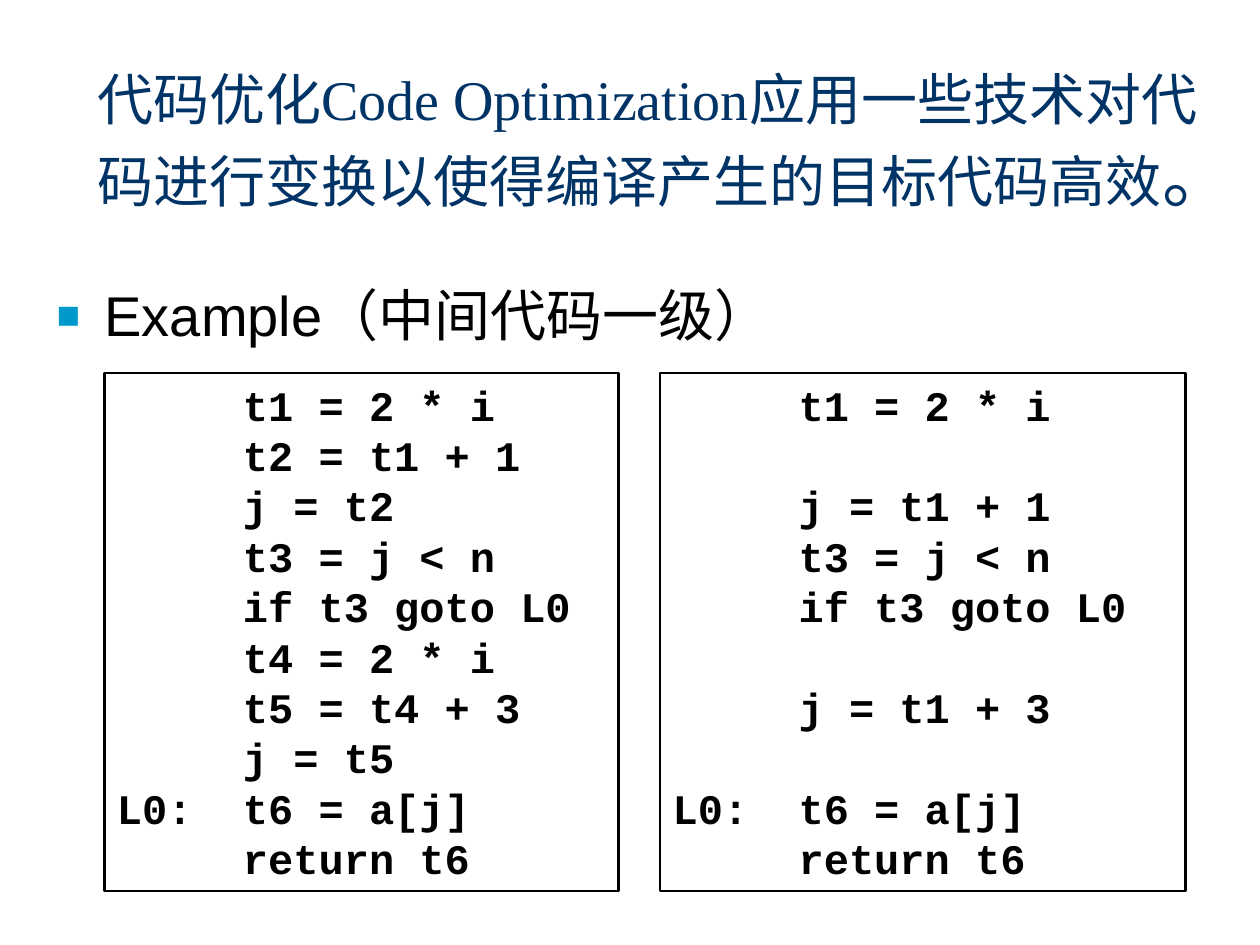
import pptx
import pptx.dml.color
import pptx.enum.shapes
import pptx.enum.text
import pptx.oxml
import pptx.oxml.ns
import pptx.util
from pptx.util import Inches

COLORS = {"title": "003366", "bullet": "0099CC", "ink": "000000", "paper": "FFFFFF"}

ORIGINAL_CODE = """\tt1 = 2 * i
\tt2 = t1 + 1
\tj = t2
\tt3 = j < n
\tif t3 goto L0
\tt4 = 2 * i
\tt5 = t4 + 3
\tj = t5
L0: \tt6 = a[j]
\treturn t6"""

OPTIMIZED_CODE = """\tt1 = 2 * i

\tj = t1 + 1
\tt3 = j < n
\tif t3 goto L0

\tj = t1 + 3

L0: \tt6 = a[j]
\treturn t6"""


class SlideBuilder:
    """Holds the style and the current slide."""

    def __init__(self, presentation):
        self.slide = presentation.slides.add_slide(presentation.slide_layouts[1])
        self.slide.background.fill.solid()
        self.slide.background.fill.fore_color.rgb = self.color("paper")

    def color(self, name):
        return pptx.dml.color.RGBColor.from_string(COLORS[name])

    def style(self, font, face, size, color, bold=False):
        font.name = face
        font.size = pptx.util.Pt(size)
        font.bold = bold
        font.color.rgb = self.color(color)

    def add_run(self, paragraph, text, *style):
        run = paragraph.add_run()
        run.text = text
        self.style(run.font, *style)

    def add_properties(self, paragraph, *elements):
        properties = paragraph._p.get_or_add_pPr()
        namespace = pptx.oxml.ns.nsdecls("a")
        for element in elements:
            properties.append(pptx.oxml.parse_xml(element.replace(" ", f" {namespace} ", 1)))
        return properties

    def place(self, placeholder, left, top, width, height):
        placeholder.left, placeholder.top = Inches(left), Inches(top)
        placeholder.width, placeholder.height = Inches(width), Inches(height)
        placeholder.text_frame.word_wrap = True
        placeholder.text_frame.auto_size = pptx.enum.text.MSO_AUTO_SIZE.NONE
        return placeholder.text_frame

    def title(self, parts, *box):
        frame = self.place(self.slide.shapes.title, *box)
        frame.vertical_anchor = pptx.enum.text.MSO_ANCHOR.MIDDLE
        heading = frame.paragraphs[0]
        heading.alignment = pptx.enum.text.PP_ALIGN.LEFT
        for text, size in parts:
            self.add_run(heading, text, "Times New Roman", size, "title")

    def bullet(self, text, *box):
        item = self.place(self.slide.placeholders[1], *box).paragraphs[0]
        item.space_before = pptx.util.Pt(0)
        properties = self.add_properties(
            item,
            f'<a:buClr ><a:srgbClr val="{COLORS["bullet"]}"/></a:buClr>',
            '<a:buSzPct val="70000"/>',
            '<a:buFont typeface="Arial"/>',
            '<a:buChar char="■"/>')
        properties.set("marL", str(Inches(0.38)))
        properties.set("indent", str(-Inches(0.38)))
        self.add_run(item, text, "Arial", 32, "ink")

    def code(self, listing, *box):
        panel = self.slide.shapes.add_shape(
            pptx.enum.shapes.MSO_SHAPE.RECTANGLE, *map(Inches, box))
        panel.shadow.inherit = False
        panel.fill.background()
        panel.line.color.rgb = self.color("ink")
        panel.line.width = pptx.util.Pt(1.25)
        frame = panel.text_frame
        frame.word_wrap = True
        frame.vertical_anchor = pptx.enum.text.MSO_ANCHOR.TOP
        block = frame.paragraphs[0]
        self.add_properties(
            block, f'<a:tabLst ><a:tab pos="{Inches(1)}" algn="l"/></a:tabLst>')
        block.alignment = pptx.enum.text.PP_ALIGN.LEFT
        block.line_spacing = pptx.util.Pt(28.8)
        for number, line in enumerate(listing.splitlines()):
            if number:
                block.add_line_break()
            if line:
                self.add_run(block, line, "Courier New", 24, "ink", True)


def main():
    presentation = pptx.Presentation()
    presentation.slide_width, presentation.slide_height = Inches(10), Inches(7.5)
    builder = SlideBuilder(presentation)
    builder.title(
        [("代码优化Code Optimization应用一些技术对代码进行变换以使得编译产生的目标代码高效", 32),
         ("。", 40)],
        0.67, 0.21, 8.98, 1.81)
    builder.bullet("Example（中间代码一级）", 0.35, 2.18, 9.03, 4.5)
    builder.code(ORIGINAL_CODE, 0.83, 2.96, 4.08, 4.11)
    builder.code(OPTIMIZED_CODE, 5.24, 2.96, 4.17, 4.11)
    presentation.save("out.pptx")


if __name__ == "__main__":
    main()
